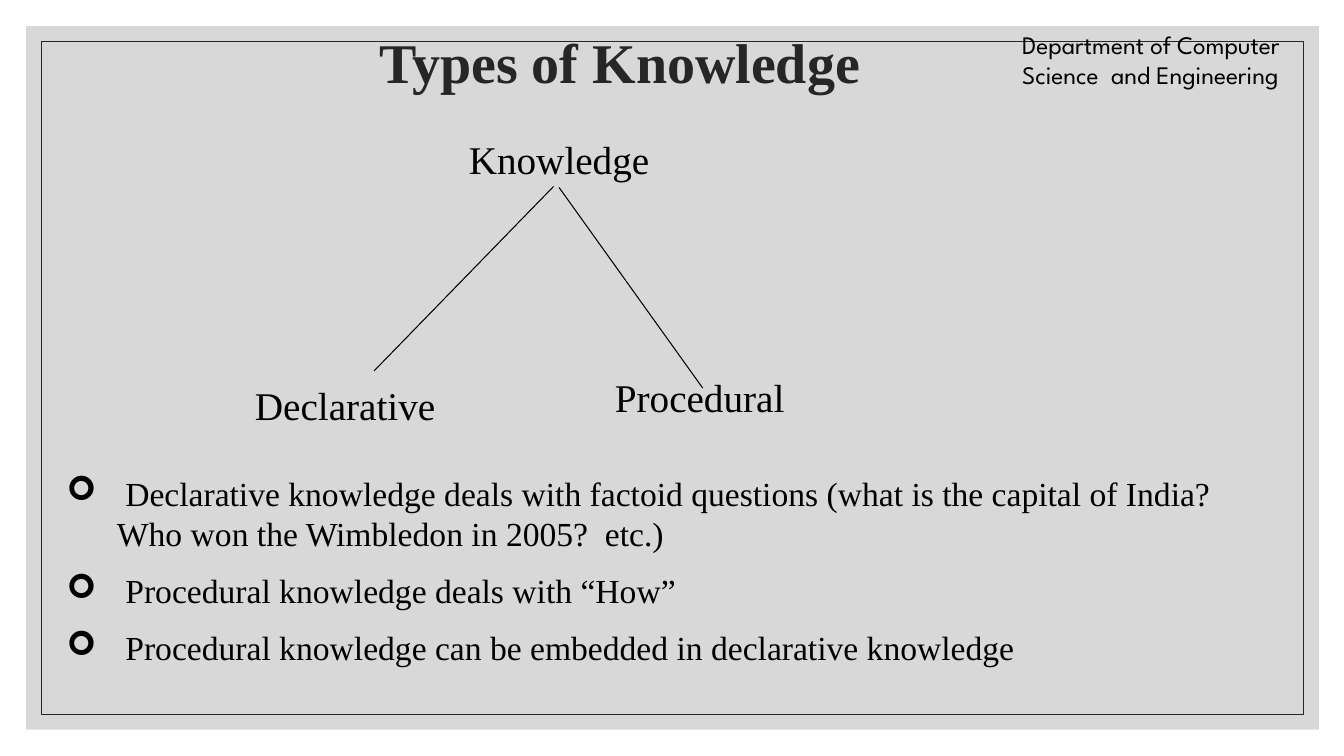
from lxml import etree
from pptx import Presentation
from pptx.dml.color import RGBColor
from pptx.enum.shapes import MSO_CONNECTOR as Connector, MSO_SHAPE as Shape
from pptx.enum.text import MSO_ANCHOR as Anchor, MSO_AUTO_SIZE as AutoSize, PP_ALIGN as Align
from pptx.oxml.ns import qn
from pptx.util import Inches, Pt

SERIF = "Times New Roman"
BLACK, DARK, GREY = "000000", "262626", "BFBFBF"


def color(value):
    return RGBColor.from_string(value)


class SlideBuilder:
    def __init__(self, page, font=SERIF, ink=BLACK):
        self.page, self.font, self.ink = page, font, ink

    def panel(self, left, top, width, height, fill=None, opacity=100, line=None):
        box = self.page.shapes.add_shape(
            Shape.RECTANGLE, Inches(left), Inches(top), Inches(width), Inches(height))
        box.shadow.inherit = False
        if fill:
            box.fill.solid()
            box.fill.fore_color.rgb = color(fill)
            tint = box.element.spPr.find(qn("a:solidFill"))[0]
            etree.SubElement(tint, qn("a:alpha"), val=str(opacity * 1000))
        else:
            box.fill.background()
        if line:
            box.line.color.rgb = color(line)
            box.line.width = Pt(0.5)
        else:
            box.line.fill.background()

    def add_span(self, para, text, size, font=None, ink=None, bold=False):
        span = para.add_run()
        span.text = text
        span.font.size, span.font.bold = Pt(size), bold
        span.font.name = font or self.font
        span.font.color.rgb = color(ink or self.ink)

    def label(self, text, left, top, width, height, size=28, font=None, align=Align.LEFT):
        box = self.page.shapes.add_textbox(
            Inches(left), Inches(top), Inches(width), Inches(height))
        box.text_frame.word_wrap = True
        para = box.text_frame.paragraphs[0]
        para.alignment = align
        self.add_span(para, text, size, font)
        return box

    def branch(self, start, end, parent=None):
        line = self.page.shapes.add_connector(
            Connector.STRAIGHT, *(Inches(value) for value in start + end))
        if parent is not None:
            line.begin_connect(parent, 2)
        line.line.color.rgb = color(self.ink)
        line.line.width = Pt(0.75)
        etree.SubElement(line.element.spPr, qn("a:effectLst"))

    def placeholder(self, box, area, anchor):
        """Position a template placeholder and bring it in front of the panels."""
        box.left, box.top, box.width, box.height = (Inches(value) for value in area)
        box.element.getparent().append(box.element)
        frame = box.text_frame
        frame.word_wrap, frame.auto_size = True, AutoSize.NONE
        frame.vertical_anchor = anchor
        return frame

    def title(self, text, *area):
        frame = self.placeholder(self.page.shapes.title, area, Anchor.MIDDLE)
        para = frame.paragraphs[0]
        para.alignment, para.line_spacing = Align.CENTER, 0.9
        self.add_span(para, text, 40, ink=DARK, bold=True)

    def bullets(self, items, *area):
        frame = self.placeholder(self.page.placeholders[1], area, Anchor.TOP)
        for index, item in enumerate(items):
            para = frame.add_paragraph() if index else frame.paragraphs[0]
            para.space_before = Pt(12 if index else 0)
            self.add_span(para, item, 24)
            props = para._p.get_or_add_pPr()
            props.set("marL", str(Inches(0.5)))
            props.set("indent", str(-Inches(0.5)))
            etree.SubElement(props, qn("a:buFont"), typeface="Wingdings")
            etree.SubElement(props, qn("a:buChar"), char="➢")


def main():
    deck = Presentation()
    deck.slide_width, deck.slide_height = Inches(13.33), Inches(7.5)
    page = deck.slides.add_slide(deck.slide_layouts[1])
    slide = SlideBuilder(page)

    # Background panel, frame and department name
    slide.panel(0.26, 0.26, 12.82, 6.98, fill=GREY, opacity=60)
    slide.panel(0.41, 0.41, 12.52, 6.68, line=DARK)
    slide.label("Department of Computer Science  and Engineering",
                10.04, 0.24, 3.45, 0.71, size=18, font="League Spartan")

    # Knowledge tree
    root = slide.label("Knowledge", 3.88, 1.29, 3.33, 0.57, align=Align.CENTER)
    slide.branch((5.49, 1.85), (3.71, 3.68))
    slide.branch((5.53, 1.85), (6.97, 3.85), parent=root)
    slide.label("Declarative", 2.43, 3.73, 3.11, 0.57)
    slide.label("Procedural", 6, 3.65, 3.89, 0.57)

    # Explanation list and title
    slide.bullets([
        " Declarative knowledge deals with factoid questions (what is the capital"
        " of India? Who won the Wimbledon in 2005?  etc.)",
        " Procedural knowledge deals with “How”",
        " Procedural knowledge can be embedded in declarative knowledge",
    ], 0.56, 4.64, 11.67, 2.12)
    slide.title("Types of Knowledge", 1.11, 0.11, 10.07, 1.08)

    deck.save("out.pptx")


if __name__ == "__main__":
    main()
